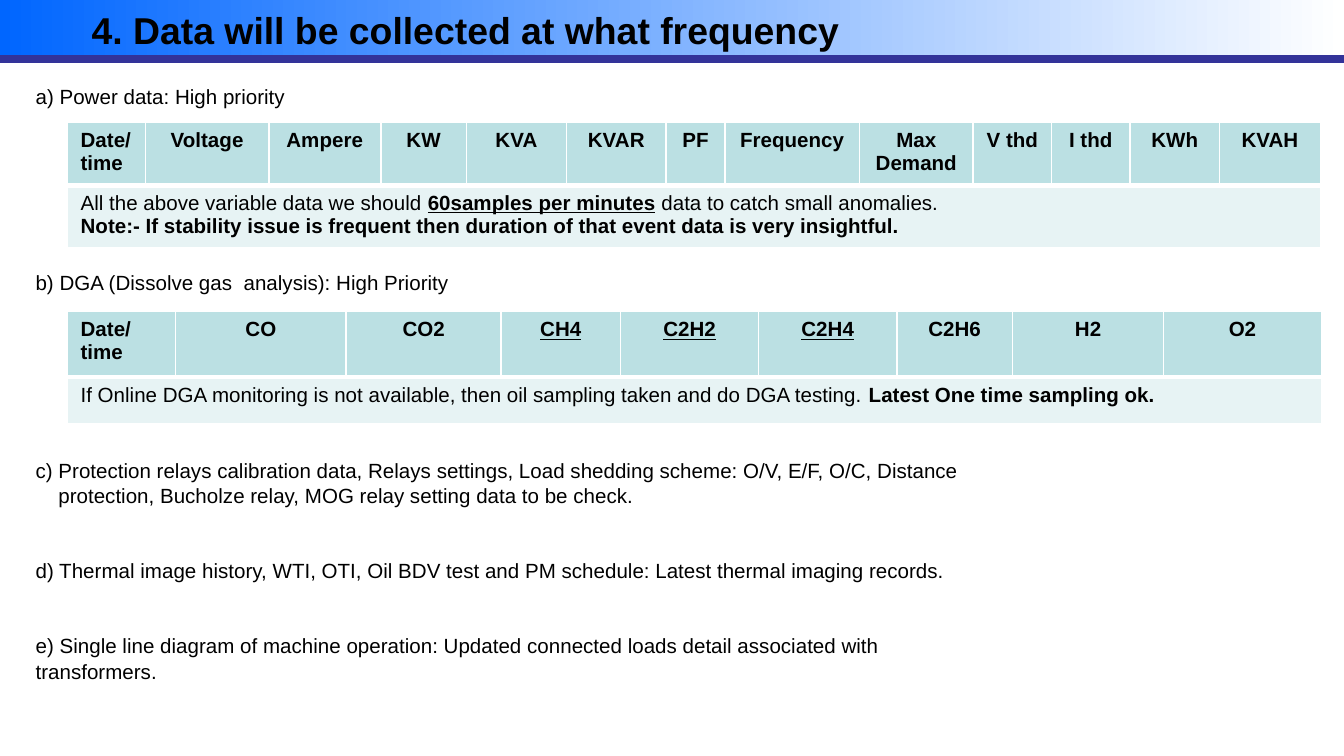
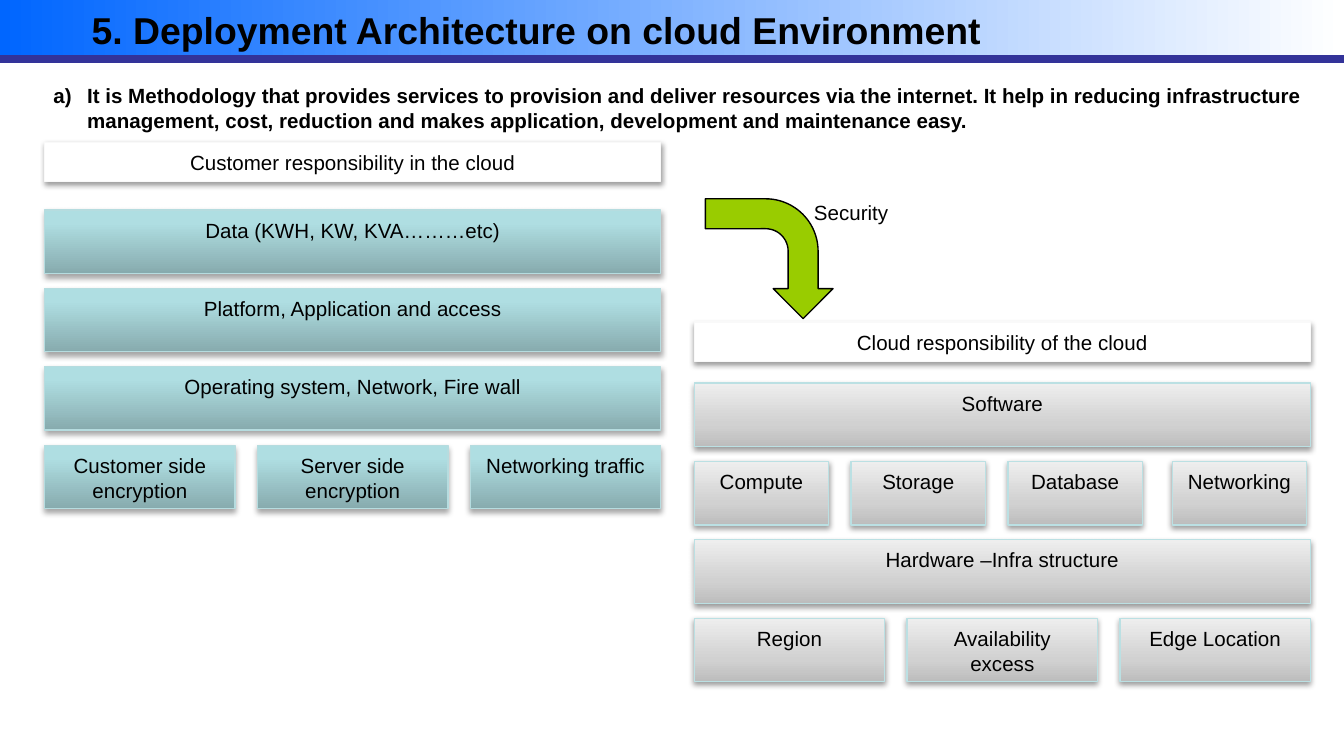
from lxml.etree import SubElement as Sub
from pptx import Presentation
from pptx.dml.color import RGBColor as RGB
from pptx.enum.shapes import MSO_CONNECTOR as Link, MSO_SHAPE as Form
from pptx.enum.text import MSO_ANCHOR as Anchor, PP_ALIGN as Align
from pptx.oxml.ns import qn
from pptx.util import Pt

HUE = {
    "black": "000000", "white": "FFFFFF", "blue": "0066FF", "navy": "333399",
    "head": "BBE0E3", "body": "E7F3F4", "green": "99CC00",
    "pale": "F9F9F9", "aqua": "B6DCDF",
}
FADE = {
    "band": [(0, HUE["blue"]), (100, HUE["white"])],
    "teal": [(0, "87ABAE"), (80, "AFDEE2"), (100, "AFE0E4")],
    "gray": [(0, "BDBDBD"), (35, "D1D1D1"), (100, "EEEEEE")],
}


def write(frame, paras, align=Align.LEFT, size=11, lead=1.04):
    """Fill a frame; a paragraph is a list of (text, marks), marks b and u."""
    frame.word_wrap = True
    for i, runs in enumerate(paras):
        para = frame.paragraphs[0] if i == 0 else frame.add_paragraph()
        para.alignment = align
        para.line_spacing = lead
        for text, marks in runs:
            run = para.add_run()
            run.text = text
            font = run.font
            font.name, font.size = "Arial", Pt(size)
            font.bold, font.underline = "b" in marks, "u" in marks
            font.color.rgb = RGB.from_string(HUE["black"])


def paint(shape, fill, line=None, angle=0, shade=None):
    """Fill with a colour or a FADE; shade is (opacity %, distance in points)."""
    shape.shadow.inherit = False
    props = shape._element.spPr
    if fill in FADE:
        shape.fill.gradient()
        grad = props.find(qn("a:gradFill"))
        grad.clear()
        stops = Sub(grad, qn("a:gsLst"))
        for pos, hue in FADE[fill]:
            stop = Sub(stops, qn("a:gs"), pos=str(pos * 1000))
            Sub(stop, qn("a:srgbClr"), val=hue)
        Sub(grad, qn("a:lin"), ang=str(angle * 60000), scaled="0")
    else:
        shape.fill.solid()
        shape.fill.fore_color.rgb = RGB.from_string(HUE[fill])
    if line:
        shape.line.color.rgb = RGB.from_string(HUE[line])
        shape.line.width = Pt(0.75)
    else:
        shape.line.fill.background()
    if shade:
        cast = Sub(props.find(qn("a:effectLst")), qn("a:outerShdw"),
                   blurRad=str(Pt(3.1)), dist=str(Pt(shade[1])),
                   dir="5400000", rotWithShape="0")
        tone = Sub(cast, qn("a:srgbClr"), val=HUE["black"])
        Sub(tone, qn("a:alpha"), val=str(shade[0] * 1000))


prs = Presentation()
prs.slide_width, prs.slide_height = Pt(720), Pt(405)

# Header band and title on every slide
slides = []
for title in ("4. Data will be collected at what frequency",
              "5. Deployment Architecture on cloud Environment"):
    slide = prs.slides.add_slide(prs.slide_layouts[6])
    band = slide.shapes.add_shape(Form.RECTANGLE, 0, 0, Pt(720), Pt(31.5))
    paint(band, "band")
    rule = slide.shapes.add_connector(Link.STRAIGHT, 0, Pt(31.5), Pt(720), Pt(31.5))
    rule.line.color.rgb = RGB.from_string(HUE["navy"])
    rule.line.width = Pt(4.5)
    Sub(rule._element.spPr, qn("a:effectLst"))
    frame = slide.shapes.add_textbox(Pt(42), Pt(-1.5), Pt(648), Pt(34.5)).text_frame
    frame.vertical_anchor = Anchor.MIDDLE
    write(frame, [[(title, "b")]], size=20, lead=1)
    slides.append(slide)
data, cloud = slides

# Slide 1: headings, tables and remaining points
for text, top, wide in (("a) Power data: High priority", 41, 204),
                        ("b) DGA (Dissolve gas  analysis): High Priority", 140.4, 258)):
    frame = data.shapes.add_textbox(Pt(12), Pt(top), Pt(wide), Pt(21)).text_frame
    write(frame, [[(text, "")]])

TABLES = [
    (65.5, (31, 31),
     [("Date/ time", 42), ("Voltage", 66), ("Ampere", 60), ("KW", 46), ("KVA", 53.5),
      ("KVAR", 53.5), ("PF", 31.5), ("Frequency", 72), ("Max Demand", 61),
      ("V thd", 42), ("I thd", 42), ("KWh", 48), ("KVAH", 54)],
     [[("All the above variable data we should ", ""), ("60samples per minutes", "bu"),
       (" data to catch small anomalies.", "")],
      [("Note:- If stability issue is frequent then duration of that event data "
        "is very insightful.", "b")]]),
    (167, (35, 25),
     [("Date/ time", 58), ("CO", 91.5), ("CO2", 83), ("CH4", 64), ("C2H2", 74),
      ("C2H4", 74), ("C2H6", 62), ("H2", 81), ("O2", 84.5)],
     [[("If Online DGA monitoring is not available, then oil sampling taken "
        "and do DGA testing.", ""), (" Latest One time sampling ok.", "b")]]),
]
LINED = ("CH4", "C2H2", "C2H4")
for top, highs, heads, note in TABLES:
    table = data.shapes.add_table(2, len(heads), Pt(36), Pt(top),
                                  Pt(672), Pt(sum(highs))).table
    table.first_row = table.horz_banding = False
    for row, high in zip(table.rows, highs):
        row.height = Pt(high)
    for i, (name, wide) in enumerate(heads):
        table.columns[i].width = Pt(wide)
        write(table.cell(0, i).text_frame, [[(name, "bu" if name in LINED else "b")]],
              Align.CENTER if i else Align.LEFT, lead=1)
        for j, fill in enumerate(("head", "body")):
            cell = table.cell(j, i)
            cell.fill.solid()
            cell.fill.fore_color.rgb = RGB.from_string(HUE[fill])
            props = cell._tc.get_or_add_tcPr()
            for k, side in enumerate("LRTB"):
                thick = 3 if (side, j) in (("B", 0), ("T", 1)) else 1
                edge = Sub(props, qn("a:ln" + side), w=str(Pt(thick)))
                Sub(Sub(edge, qn("a:solidFill")), qn("a:srgbClr"), val=HUE["white"])
                props.insert(k, edge)
    table.cell(1, 0).merge(table.cell(1, len(heads) - 1))
    write(table.cell(1, 0).text_frame, note, lead=1)

points = [
    "c) Protection relays calibration data, Relays settings, Load shedding scheme: "
    "O/V, E/F, O/C, Distance",
    "protection, Bucholze relay, MOG relay setting data to be check.",
    "d) Thermal image history, WTI, OTI, Oil BDV test and PM schedule: "
    "Latest thermal imaging records.",
    "e) Single line diagram of machine operation: Updated connected loads detail "
    "associated with transformers.",
]
frame = data.shapes.add_textbox(Pt(12), Pt(241.2), Pt(530), Pt(114)).text_frame
write(frame, [[(text, "")] for text in points])
frame.paragraphs[1]._p.get_or_add_pPr().set("marL", str(Pt(12.2)))
for para in frame.paragraphs[2:]:
    para.space_before = Pt(26.4)

# Slide 2: statement
frame = cloud.shapes.add_textbox(Pt(21.6), Pt(40.3), Pt(687), Pt(60)).text_frame
write(frame, [[("It is Methodology that provides services to provision and deliver "
                "resources via the internet. It help in reducing infrastructure "
                "management, cost, reduction and makes application, development "
                "and maintenance easy.", "b")]])
props = frame.paragraphs[0]._p.get_or_add_pPr()
props.set("marL", str(Pt(18)))
props.set("indent", str(Pt(-18)))
Sub(props, qn("a:buFont"), typeface="+mj-lt")
Sub(props, qn("a:buAutoNum"), type="alphaLcParenR")

# Slide 2: two stacks of boxes, each under a white caption
SPLIT = {1: (330, (0,)), 3: (102, (0, 114, 228)), 4: (72, (0, 84, 168, 256))}
STACKS = [
    (24, 76.2, 112.5, "teal", "aqua", (35, 1.8), "Customer responsibility in the cloud",
     [["Data (KWH, KW, KVA………etc)"],
      ["Platform, Application and access"],
      ["Operating system, Network, Fire wall"],
      ["Customer side encryption", "Server side encryption", "Networking traffic"]]),
    (372, 172.6, 205.2, "gray", "head", (38, 1.6), "Cloud responsibility of the cloud",
     [["Software"],
      ["Compute", "Storage", "Database", "Networking"],
      ["Hardware –Infra structure"],
      ["Region", "Availability excess", "Edge Location"]]),
]
for left, crown, top, fill, line, shade, name, rows in STACKS:
    boxes = [(name, left, crown, 330, 21, "white", "pale", (38, 1.6))]
    for i, row in enumerate(rows):
        wide, steps = SPLIT[len(row)]
        boxes += [(text, left + step, top + 42 * i, wide, 34, fill, line, shade)
                  for text, step in zip(row, steps)]
    group = cloud.shapes.add_group_shape()
    for text, x, y, wide, high, tint, edge, cast in boxes:
        box = group.shapes.add_shape(Form.RECTANGLE, Pt(x), Pt(y), Pt(wide), Pt(high))
        paint(box, tint, edge, 270, cast)
        box.text_frame.vertical_anchor = Anchor.TOP
        write(box.text_frame, [[(text, "")]], Align.CENTER)

# Slide 2: security arrow
arrow = cloud.shapes.add_shape(Form.BENT_ARROW, Pt(380), Pt(104.4), Pt(64.2), Pt(68.4))
arrow.rotation = 90
paint(arrow, "green", "black")
frame = cloud.shapes.add_textbox(Pt(408), Pt(103), Pt(96), Pt(21)).text_frame
write(frame, [[("Security", "")]], Align.CENTER)

prs.save("out.pptx")
